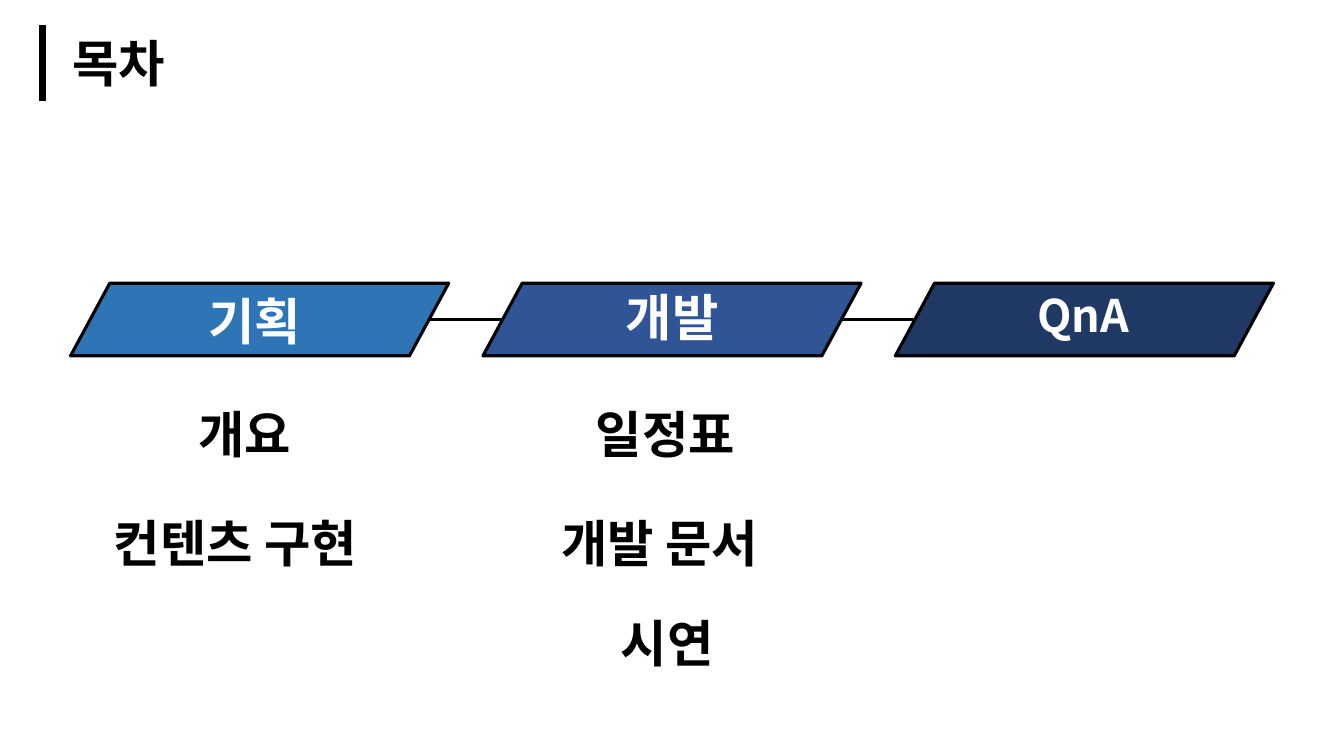
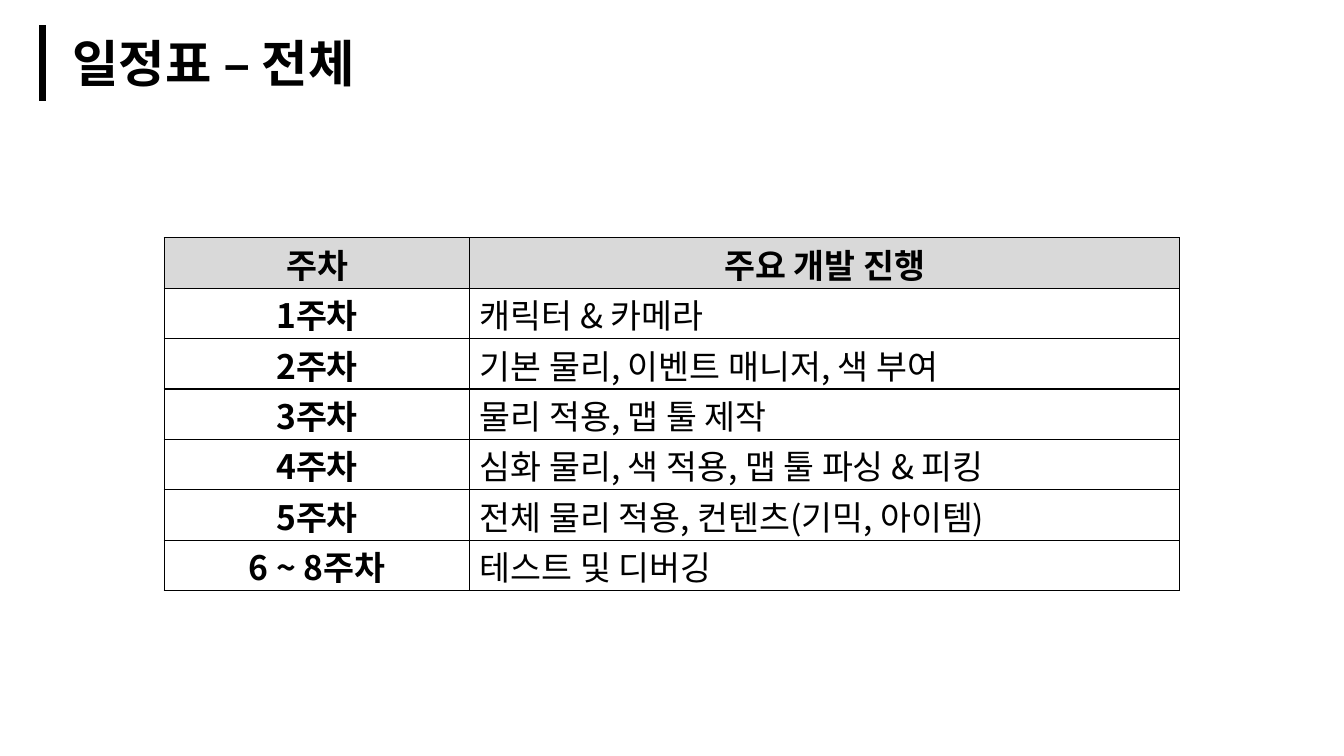
from dataclasses import dataclass
from typing import NamedTuple

from lxml.etree import SubElement
from pptx import Presentation
from pptx.dml.color import RGBColor
from pptx.enum.shapes import MSO_CONNECTOR, MSO_SHAPE
from pptx.enum.text import MSO_ANCHOR, MSO_AUTO_SIZE, PP_ALIGN
from pptx.oxml.ns import qn
from pptx.presentation import Presentation as Deck
from pptx.slide import Slide
from pptx.table import _Cell
from pptx.text.text import _Paragraph
from pptx.util import Inches, Length, Pt


@dataclass(frozen=True)
class Theme:
    ink: str = "000000"
    paper: str = "FFFFFF"
    header: str = "D9D9D9"
    title_font: str = "Montserrat"
    body_font: str = "Noto Sans CJK KR"
    heading_size: float = 36
    latin_size: float = 32
    table_size: float = 24
    title_bar: float = 5
    outline: float = 2.25
    cell_border: float = 1


THEME = Theme()


def grid(cells: float) -> Length:
    """Length of a number of grid cells, ten to the inch."""
    return Inches(cells / 10)


class Topic(NamedTuple):
    text: str
    indent: float
    width: float


class Chapter(NamedTuple):
    label: Topic
    label_top: float
    fill: str
    size: float
    topics: tuple[Topic, ...] = ()


CHAPTERS = (
    Chapter(Topic("기획", 12.7, 12.1), 28.3, "2E75B6", THEME.heading_size,
            (Topic("개요", 11.7, 12.1), Topic("컨텐츠 구현", 3.3, 29))),
    Chapter(Topic("개발", 13.2, 12.1), 27.9, "2F5597", THEME.heading_size,
            (Topic("일정표", 10.2, 17.2), Topic("개발 문서", 6.8, 24),
             Topic("시연", 12.7, 12.1))),
    Chapter(Topic("QnA", 13.1, 11.4), 28.1, "203864", THEME.latin_size),
)
CHIP_LEFT, CHIP_TOP, CHIP_STEP = 7, 28.1, 40.9
CHIP_WIDTH, CHIP_HEIGHT, CHIP_SLANT = 37.5, 7.2, 0.54
TOPIC_TOPS = (39.5, 50.3, 60.2)
TEXT_HEIGHT = 7.1

SCHEDULE = (
    ("주차", "주요 개발 진행"),
    ("1주차", "캐릭터 & 카메라"),
    ("2주차", "기본 물리, 이벤트 매니저, 색 부여"),
    ("3주차", "물리 적용, 맵 툴 제작"),
    ("4주차", "심화 물리, 색 적용, 맵 툴 파싱 & 피킹"),
    ("5주차", "전체 물리 적용, 컨텐츠(기믹, 아이템)"),
    ("6 ~ 8주차", "테스트 및 디버깅"),
)
TABLE_LEFT, TABLE_TOP, ROW_HEIGHT = 16.3, 23.6, 5
COLUMN_WIDTHS = (30.3, 70.4)


def color(value: str) -> RGBColor:
    return RGBColor.from_string(value)


def style(para: _Paragraph, font: str, size: float, ink: str, bold: bool) -> None:
    para.font.name = font
    para.font.size = Pt(size)
    para.font.bold = bold
    para.font.color.rgb = color(ink)
    east_asian = SubElement(para.font._element, qn("a:ea"))
    east_asian.set("typeface", THEME.body_font)


def add_text(page: Slide, text: str, left: float, top: float, width: float,
             size: float = THEME.heading_size, ink: str = THEME.ink,
             font: str = THEME.body_font, wrap: bool = False) -> None:
    box = page.shapes.add_textbox(grid(left), grid(top), grid(width), grid(TEXT_HEIGHT))
    frame = box.text_frame
    frame.word_wrap = wrap
    frame.auto_size = MSO_AUTO_SIZE.SHAPE_TO_FIT_TEXT
    frame.text = text
    style(frame.paragraphs[0], font, size, ink, True)


def add_line(page: Slide, start: tuple[float, float], end: tuple[float, float],
             weight: float) -> None:
    line = page.shapes.add_connector(
        MSO_CONNECTOR.STRAIGHT, *map(grid, start), *map(grid, end))
    line.line.color.rgb = color(THEME.ink)
    line.line.width = Pt(weight)
    SubElement(line._element.spPr, qn("a:effectLst"))


def add_page(deck: Deck, title: str) -> Slide:
    """Blank page with the shared title and the bar beside it."""
    page = deck.slides.add_slide(deck.slide_layouts[6])
    page.background.fill.solid()
    page.background.fill.fore_color.rgb = color(THEME.paper)
    add_text(page, title, 6.2, 2.7, 36.5, font=THEME.title_font, wrap=True)
    add_line(page, (4.2, 2.5), (4.2, 10), THEME.title_bar)
    return page


def add_chip(page: Slide, left: float, fill: str) -> None:
    chip = page.shapes.add_shape(
        MSO_SHAPE.PARALLELOGRAM, grid(left), grid(CHIP_TOP),
        grid(CHIP_WIDTH), grid(CHIP_HEIGHT))
    chip.adjustments[0] = CHIP_SLANT
    chip.shadow.inherit = False
    chip.fill.solid()
    chip.fill.fore_color.rgb = color(fill)
    chip.line.color.rgb = color(THEME.ink)
    chip.line.width = Pt(THEME.outline)


def add_contents(deck: Deck) -> None:
    page = add_page(deck, "목차")
    side_inset = CHIP_SLANT * CHIP_HEIGHT / 2
    middle = CHIP_TOP + CHIP_HEIGHT / 2
    for index, chapter in enumerate(CHAPTERS):
        left = CHIP_LEFT + index * CHIP_STEP
        add_chip(page, left, chapter.fill)
        label = chapter.label
        add_text(page, label.text, left + label.indent, chapter.label_top,
                 label.width, chapter.size, THEME.paper)
        if index:
            previous_right = left - CHIP_STEP + CHIP_WIDTH
            add_line(page, (previous_right - side_inset, middle),
                     (left + side_inset, middle), THEME.outline)
        for topic, top in zip(chapter.topics, TOPIC_TOPS):
            add_text(page, topic.text, left + topic.indent, top, topic.width)


def add_borders(cell: _Cell) -> None:
    properties = cell._tc.get_or_add_tcPr()
    for position, side in enumerate(("lnL", "lnR", "lnT", "lnB")):
        border = SubElement(properties, qn(f"a:{side}"), w=str(Pt(THEME.cell_border)))
        fill = SubElement(border, qn("a:solidFill"))
        SubElement(fill, qn("a:srgbClr"), val=THEME.ink)
        properties.insert(position, border)


def fill_cell(cell: _Cell, text: str, heading: bool, centered: bool) -> None:
    cell.text = text
    cell.vertical_anchor = MSO_ANCHOR.TOP
    cell.margin_top, cell.margin_bottom = grid(0.15), 0
    cell.fill.solid()
    cell.fill.fore_color.rgb = color(THEME.header if heading else THEME.paper)
    add_borders(cell)
    para = cell.text_frame.paragraphs[0]
    para.alignment = PP_ALIGN.CENTER if centered else PP_ALIGN.LEFT
    style(para, THEME.body_font, THEME.table_size, THEME.ink, centered)


def add_schedule(deck: Deck) -> None:
    page = add_page(deck, "일정표 – 전체")
    table = page.shapes.add_table(
        len(SCHEDULE), len(COLUMN_WIDTHS), grid(TABLE_LEFT), grid(TABLE_TOP),
        grid(sum(COLUMN_WIDTHS)), grid(ROW_HEIGHT * len(SCHEDULE))).table
    for column, width in zip(table.columns, COLUMN_WIDTHS):
        column.width = grid(width)
    for row, texts in enumerate(SCHEDULE):
        for column, text in enumerate(texts):
            heading = row == 0
            fill_cell(table.cell(row, column), text, heading, heading or column == 0)


def main() -> None:
    deck = Presentation()
    deck.slide_width, deck.slide_height = Inches(13.33), Inches(7.5)
    add_contents(deck)
    add_schedule(deck)
    deck.save("out.pptx")


if __name__ == "__main__":
    main()
